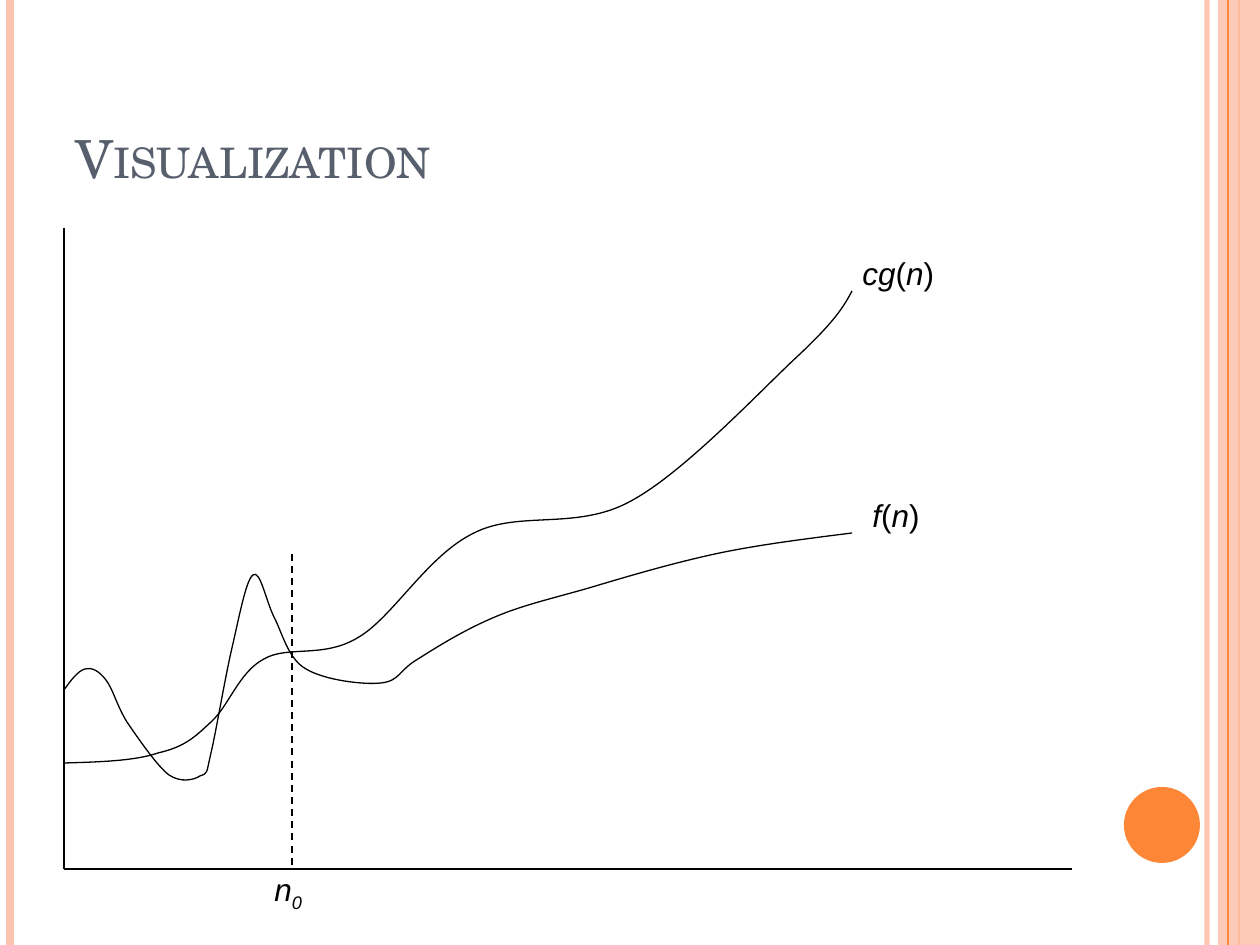
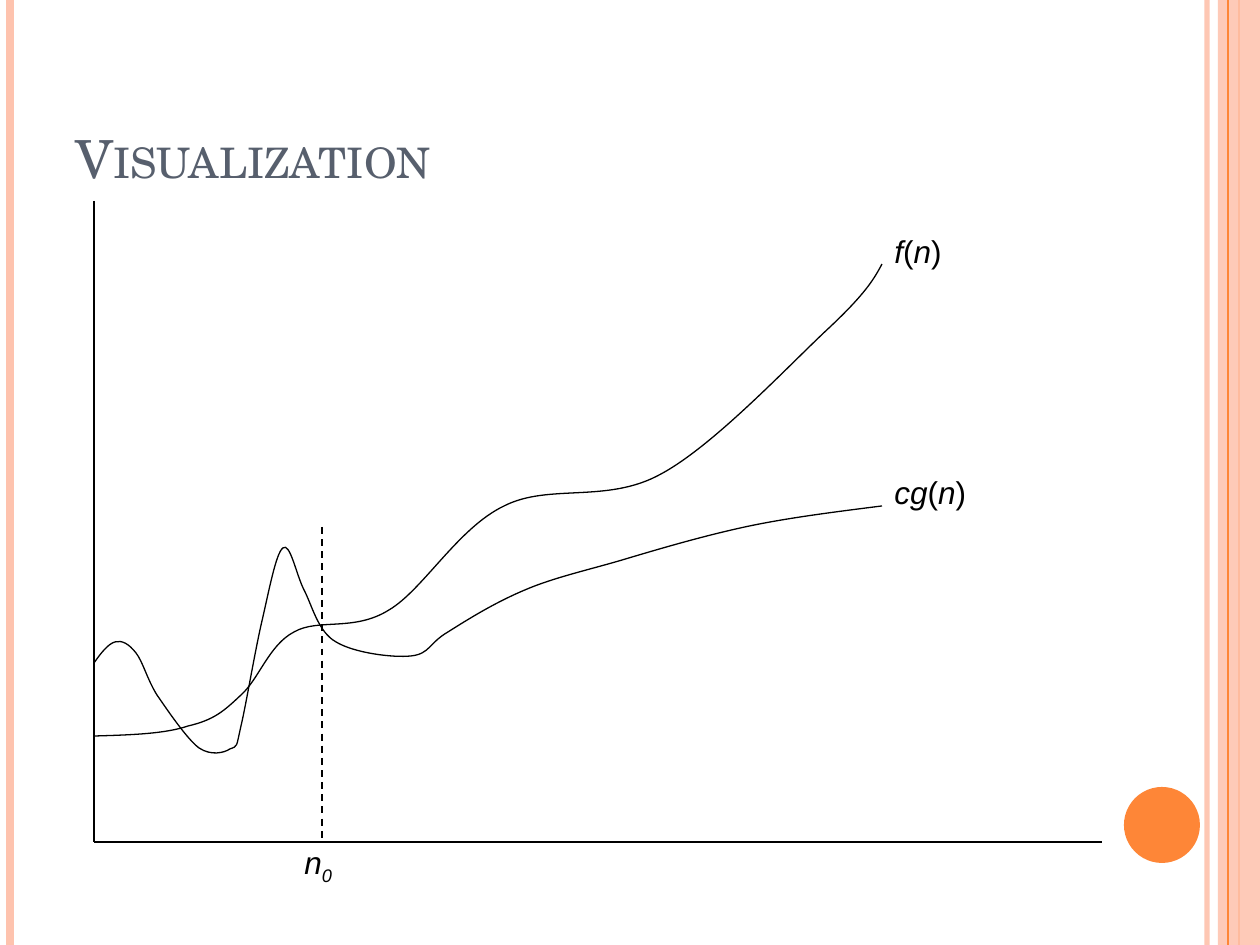
from lxml import etree
from pptx import Presentation
from pptx.dml.color import RGBColor
from pptx.enum.dml import MSO_LINE
from pptx.enum.shapes import MSO_CONNECTOR, MSO_SHAPE
from pptx.enum.text import MSO_ANCHOR, MSO_AUTO_SIZE
from pptx.oxml.ns import qn
from pptx.util import Pt

STRAIGHT = MSO_CONNECTOR.STRAIGHT
RECTANGLE, OVAL = MSO_SHAPE.RECTANGLE, MSO_SHAPE.OVAL
DASH = MSO_LINE.DASH
BOTTOM, TOP = MSO_ANCHOR.BOTTOM, MSO_ANCHOR.TOP
FIT_SHAPE, NO_FIT = MSO_AUTO_SIZE.SHAPE_TO_FIT_TEXT, MSO_AUTO_SIZE.NONE

PX_PER_INCH = 126
EMU_PER_PX = 914400 / PX_PER_INCH
WIDTH, HEIGHT = 1260, 945

ORANGE, PEACH, SLATE, BLACK = "FE8637", "FEC3AE", "575F6D", "000000"
TITLE_FORMAT = {"name": "TeX Gyre Schola", "size": Pt(30)}
LABEL_FORMAT = {"name": "Arial", "size": Pt(18)}
TITLE_BOX = (63, 38, 1061, 157)
PAGE_CIRCLE = (1124, 787, 76, 76)
SIDE_BAND = (1218, 0, 42, HEIGHT)

# x, colour, width in points, opacity in percent
LINES_BEHIND_BAND = [(1207, PEACH, 3, 93), (10, PEACH, 4.5, 100), (1239, ORANGE, 1.5, 100)]
LINES_OVER_BAND = [(1228, ORANGE, 0.75, 100)]

# Text runs: text, italic, baseline shift in percent
N_ZERO = [("n", True, 0), ("0", True, -25)]
ARGUMENT = [("(", False, 0), ("n", True, 0), (")", False, 0)]
CG_OF_N = [("cg", True, 0)] + ARGUMENT
F_OF_N = [("f", True, 0)] + ARGUMENT

# Each origin is where the axes meet; labels are text, box left, top, width, height
SLIDES = [
    {"title": "Visualization", "origin": (64, 869),
     "labels": [(CG_OF_N, 850, 248, 113, 63), (F_OF_N, 860, 490, 86, 63)]},
    {"title": "Visualization", "origin": (94, 842),
     "labels": [(CG_OF_N, 882, 467, 113, 63), (F_OF_N, 882, 226, 86, 63)]},
]

AXIS_WIDTH, AXIS_HEIGHT = 1008, 641
THRESHOLD_X, THRESHOLD_HEIGHT = 228, 315
N_ZERO_OFFSET, N_ZERO_SIZE = (198, -5), (60, 63)

# Bezier points right of and above the origin: a start, then two controls and an end per row
RISING_CURVE = [
    (0, 106),
    (35, 107), (71, 108), (94, 116),
    (120, 122), (130, 131), (147, 147),
    (165, 163), (175, 197), (200, 210),
    (224, 224), (260, 210), (295, 232),
    (329, 252), (364, 314), (410, 336),
    (455, 359), (513, 338), (567, 368),
    (621, 397), (698, 480), (736, 515),
    (772, 549), (780, 563), (788, 578),
]
WAVY_CURVE = [
    (0, 179),
    (7, 189), (14, 198), (21, 200),
    (28, 202), (35, 198), (42, 189),
    (49, 180), (53, 163), (63, 147),
    (74, 131), (93, 103), (105, 94),
    (117, 86), (130, 89), (136, 93),
    (144, 96), (142, 94), (147, 116),
    (152, 137), (161, 191), (168, 221),
    (175, 251), (182, 289), (189, 294),
    (196, 300), (202, 268), (210, 252),
    (218, 237), (224, 210), (242, 200),
    (260, 189), (299, 184), (317, 186),
    (336, 188), (335, 199), (354, 210),
    (373, 222), (400, 239), (431, 252),
    (461, 265), (499, 273), (535, 284),
    (572, 295), (610, 306), (651, 315),
    (693, 324), (741, 330), (788, 336),
]


def emu(*lengths):
    return [round(length * EMU_PER_PX) for length in lengths]


def rgb(colour):
    return RGBColor.from_string(colour)


def set_format(target, values):
    for name, value in values.items():
        setattr(target, name, value)


def set_opacity(element, percent):
    if percent < 100:
        colour = next(element.iter(qn("a:srgbClr")))
        etree.SubElement(colour, qn("a:alpha")).set("val", str(percent * 1000))


def add_line(slide, start, end, colour=BLACK, width=0.75, opacity=100, dash=None):
    line = slide.shapes.add_connector(STRAIGHT, *emu(*start, *end))
    line.line.color.rgb = rgb(colour)
    set_format(line.line, {"width": Pt(width), "dash_style": dash})
    properties = line._element.spPr
    set_opacity(properties, opacity)
    etree.SubElement(properties, qn("a:effectLst"))


def add_filled_shape(slide, kind, box, colour, opacity=100):
    shape = slide.shapes.add_shape(kind, *emu(*box))
    shape.shadow.inherit = False
    shape.fill.solid()
    shape.fill.fore_color.rgb = rgb(colour)
    shape.line.fill.background()
    set_opacity(shape._element.spPr, opacity)


def add_text(slide, box, runs, font_format, colour, frame_format, small_caps=False):
    text_frame = slide.shapes.add_textbox(*emu(*box)).text_frame
    set_format(text_frame, frame_format)
    paragraph = text_frame.paragraphs[0]
    for text, italic, baseline in runs:
        run = paragraph.add_run()
        run.text = text
        set_format(run.font, {**font_format, "italic": italic})
        run.font.color.rgb = rgb(colour)
        properties = run._r.get_or_add_rPr()
        if baseline:
            properties.set("baseline", str(baseline * 1000))
        if small_caps:
            properties.set("cap", "small")


def bend_segments(shape):
    """Turn every three straight segments into one cubic curve."""
    segments = list(shape._element.iter(qn("a:lnTo")))
    for first in range(0, len(segments), 3):
        curve, *others = segments[first:first + 3]
        bezier = etree.Element(qn("a:cubicBezTo"))
        curve.addprevious(bezier)
        for segment in (curve, *others):
            bezier.append(segment[0])
            segment.getparent().remove(segment)


def add_curve(slide, origin, points):
    left, base = origin
    start, *rest = [emu(left + x, base - y) for x, y in points]
    builder = slide.shapes.build_freeform(*start)
    builder.add_line_segments(rest, close=False)
    curve = builder.convert_to_shape()
    bend_segments(curve)
    curve.shadow.inherit = False
    curve.fill.background()
    curve.line.color.rgb = rgb(BLACK)
    curve.line.width = Pt(0.75)


def add_vertical_lines(slide, lines):
    for x, colour, width, opacity in lines:
        add_line(slide, (x, 0), (x, HEIGHT), colour, width, opacity)


def add_frame(slide, title):
    """Draw the side bands, the page circle and the title."""
    add_vertical_lines(slide, LINES_BEHIND_BAND)
    add_filled_shape(slide, RECTANGLE, SIDE_BAND, PEACH, 87)
    add_vertical_lines(slide, LINES_OVER_BAND)
    add_filled_shape(slide, OVAL, PAGE_CIRCLE, ORANGE)
    add_text(slide, TITLE_BOX, [(title, False, 0)], TITLE_FORMAT, SLATE,
             {"word_wrap": True, "vertical_anchor": BOTTOM, "auto_size": NO_FIT}, small_caps=True)


def add_graph(slide, origin, labels):
    left, base = origin
    add_line(slide, (left, base - AXIS_HEIGHT), origin)
    add_line(slide, origin, (left + AXIS_WIDTH, base))
    for points in (RISING_CURVE, WAVY_CURVE):
        add_curve(slide, origin, points)
    threshold = left + THRESHOLD_X
    add_line(slide, (threshold, base - THRESHOLD_HEIGHT), (threshold, base), width=1, dash=DASH)
    n_zero_label = (N_ZERO, left + N_ZERO_OFFSET[0], base + N_ZERO_OFFSET[1], *N_ZERO_SIZE)
    for runs, *box in [n_zero_label] + labels:
        add_text(slide, box, runs, LABEL_FORMAT, BLACK,
                 {"word_wrap": False, "vertical_anchor": TOP, "auto_size": FIT_SHAPE})


def main():
    presentation = Presentation()
    presentation.slide_width, presentation.slide_height = emu(WIDTH, HEIGHT)
    blank_layout = presentation.slide_layouts[6]
    for content in SLIDES:
        slide = presentation.slides.add_slide(blank_layout)
        add_frame(slide, content["title"])
        add_graph(slide, content["origin"], content["labels"])
    presentation.save("out.pptx")


if __name__ == "__main__":
    main()
